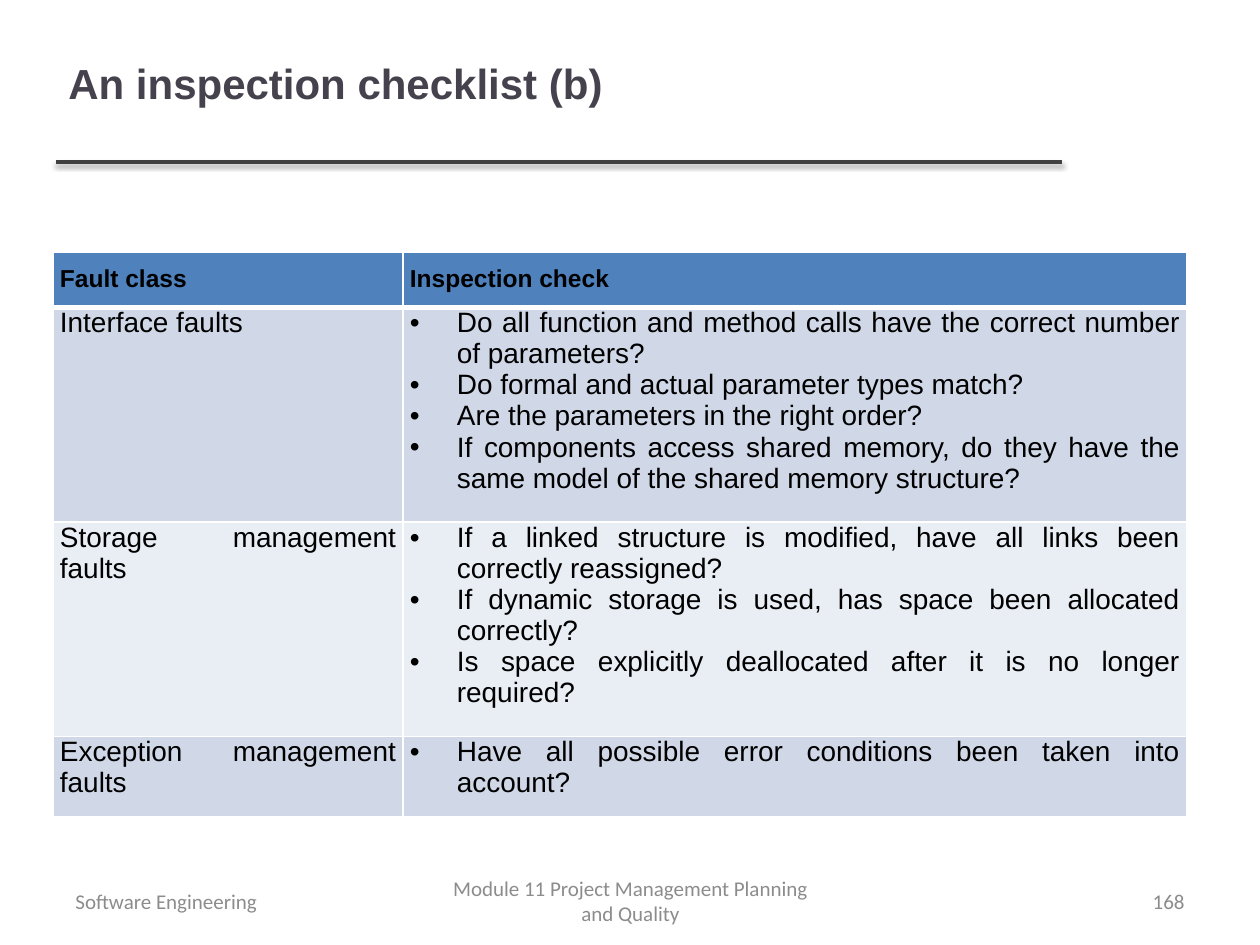
import pptx
import pptx.dml.color
import pptx.enum.shapes
import pptx.enum.text
import pptx.oxml
import pptx.oxml.ns
import pptx.util

ALIGN = pptx.enum.text.PP_ALIGN
MIDDLE = pptx.enum.text.MSO_ANCHOR.MIDDLE
NS = pptx.oxml.ns.nsdecls("a")

HEADS = ["Fault class", "Inspection check"]
CHECKS = [
    ("Interface faults", [
        "Do all function and method calls have the correct number of parameters?",
        "Do formal and actual parameter types match?",
        "Are the parameters in the right order?",
        "If components access shared memory, do they have the same model "
        "of the shared memory structure?",
    ]),
    ("Storage management faults", [
        "If a linked structure is modified, have all links been correctly reassigned?",
        "If dynamic storage is used, has space been allocated correctly?",
        "Is space explicitly deallocated after it is no longer required?",
    ]),
    ("Exception management faults", [
        "Have all possible error conditions been taken into account?",
    ]),
]


def px(count):
    return pptx.util.Emu(round(count * 914400 / 126))


def color(code):
    return pptx.dml.color.RGBColor.from_string(code)


def xml(text):
    """Parse one DrawingML element, adding its namespace."""
    tag, rest = text.split(" ", 1)
    return pptx.oxml.parse_xml(f"{tag} {NS} {rest}")


class Deck:
    head = "4F81BD"
    bands = ["D0D8E8", "E9EDF4"]
    rule = "FFFFFF"
    ink = "000000"
    title = "46424D"
    gray = "8C8C8C"
    font = "Arial"
    small = "Calibri"

    def __init__(self, wide, high):
        self.prs = pptx.Presentation()
        self.prs.slide_width, self.prs.slide_height = px(wide), px(high)
        self.slide = self.prs.slides.add_slide(self.prs.slide_layouts[6])

    def run(self, para, text, size, ink, font, bold=False):
        run = para.add_run()
        run.text = text
        run.font.size = pptx.util.Pt(size)
        run.font.name = font
        run.font.bold = bold
        run.font.color.rgb = color(ink)

    def text(self, box, text, size, ink, font, align=ALIGN.LEFT, bold=False):
        frame = self.slide.shapes.add_textbox(*map(px, box)).text_frame
        frame.word_wrap = True
        frame.vertical_anchor = MIDDLE
        para = frame.paragraphs[0]
        para.alignment = align
        self.run(para, text, size, ink, font, bold)

    def line(self, left, right, y):
        """Draw a level rule with a soft shadow below it."""
        line = self.slide.shapes.add_connector(
            pptx.enum.shapes.MSO_CONNECTOR.STRAIGHT, px(left), px(y), px(right), px(y))
        line.line.color.rgb = color("404040")
        line.line.width = pptx.util.Pt(2)
        line._element.spPr.append(xml(
            '<a:effectLst ><a:outerShdw blurRad="40000" dist="20000" dir="5400000" '
            'rotWithShape="0"><a:srgbClr val="000000"><a:alpha val="38000"/>'
            '</a:srgbClr></a:outerShdw></a:effectLst>'))

    def bullet(self, para):
        props = para._p.get_or_add_pPr()
        props.set("marL", str(px(47)))
        props.set("indent", str(-px(47)))
        props.append(xml('<a:buFont typeface="Arial"/>'))
        props.append(xml('<a:buChar char="•"/>'))
        props.append(xml(f'<a:tabLst ><a:tab pos="{px(32)}" algn="l"/></a:tabLst>'))

    def cell(self, cell, items, fill, size=16, top=0, base=1, bold=False, dots=False):
        """Fill one cell; base is the width of its lower border in points."""
        cell.margin_left = cell.margin_right = px(7)
        cell.margin_top, cell.margin_bottom = px(top), px(13)
        props = cell._tc.get_or_add_tcPr()
        for side, width in zip("LRTB", (1, 1, 1, base)):
            props.append(xml(
                f'<a:ln{side} w="{pptx.util.Pt(width)}"><a:solidFill>'
                f'<a:srgbClr val="{self.rule}"/></a:solidFill></a:ln{side}>'))
        cell.fill.solid()
        cell.fill.fore_color.rgb = color(fill)
        frame = cell.text_frame
        for at, item in enumerate(items):
            para = frame.add_paragraph() if at else frame.paragraphs[0]
            para.alignment = ALIGN.JUSTIFY
            if dots:
                self.bullet(para)
            self.run(para, item, size, self.ink, self.font, bold)

    def table(self, left, top, cols, rows):
        box = map(px, (left, top, sum(cols), sum(rows)))
        table = self.slide.shapes.add_table(len(rows), len(cols), *box).table
        for col, width in zip(table.columns, cols):
            col.width = px(width)
        for row, height in zip(table.rows, rows):
            row.height = px(height)
        for at, head in enumerate(HEADS):
            self.cell(table.cell(0, at), [head], self.head,
                      size=14, top=13, base=3, bold=True)
        for at, (fault, checks) in enumerate(CHECKS):
            fill = self.bands[at % 2]
            self.cell(table.cell(at + 1, 0), [fault], fill)
            self.cell(table.cell(at + 1, 1), checks, fill, dots=True)


def main():
    deck = Deck(1260, 945)
    deck.line(56, 1062, 162)
    deck.text((56, 4, 1006, 158), "An inspection checklist (b)", 24,
              deck.title, deck.font, bold=True)
    deck.table(53, 252, [350, 784], [52, 199, 199, 74])
    for left, wide, text, align in [
        (431, 399, "Module 11 Project Management Planning and Quality", ALIGN.CENTER),
        (903, 294, "168", ALIGN.RIGHT),
        (63, 294, "Software Engineering", ALIGN.LEFT),
    ]:
        deck.text((left, 876, wide, 50), text, 12, deck.gray, deck.small, align)
    deck.prs.save("out.pptx")


if __name__ == "__main__":
    main()
